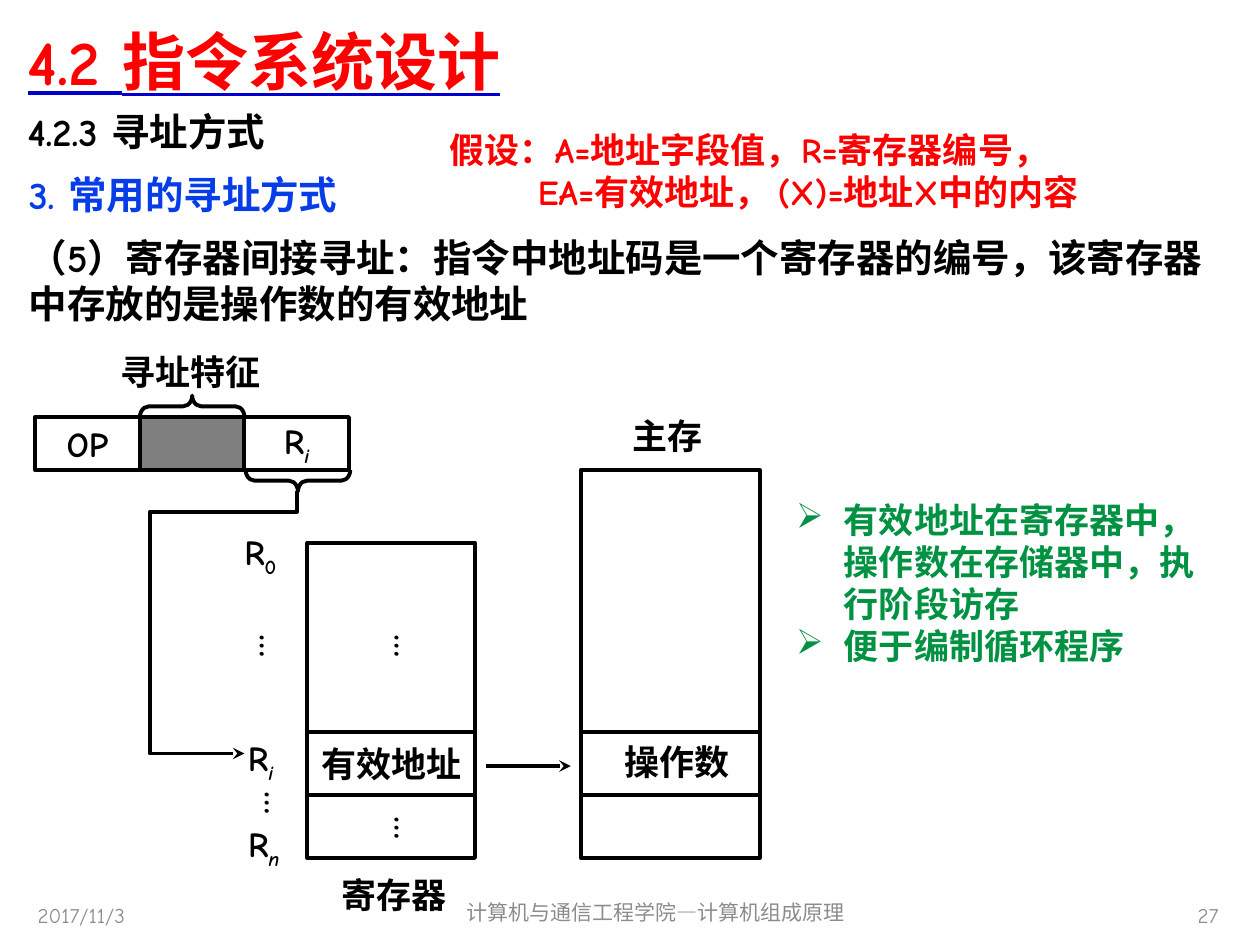
from lxml import etree
from pptx import Presentation
from pptx.dml.color import RGBColor
from pptx.enum.shapes import MSO_CONNECTOR, MSO_SHAPE
from pptx.enum.text import MSO_ANCHOR, MSO_AUTO_SIZE, PP_ALIGN
from pptx.oxml.ns import qn
from pptx.util import Inches, Pt

RECTANGLE, BRACE = MSO_SHAPE.RECTANGLE, MSO_SHAPE.LEFT_BRACE
STRAIGHT = MSO_CONNECTOR.STRAIGHT
TOP, MIDDLE = MSO_ANCHOR.TOP, MSO_ANCHOR.MIDDLE
LEFT, CENTER, RIGHT = PP_ALIGN.LEFT, PP_ALIGN.CENTER, PP_ALIGN.RIGHT
FIT, FIXED = MSO_AUTO_SIZE.SHAPE_TO_FIT_TEXT, MSO_AUTO_SIZE.NONE
FONT = "Comic Neue"
COLORS = {
    "black": "000000",
    "red": "FF0000",
    "underline": "0000CC",
    "blue": "063DE8",
    "green": "009242",
    "footer": "8C8C8C",
}


def color(name):
    """Return the named colour."""
    return RGBColor.from_string(COLORS[name])


class SlideBuilder:
    """Draws styled elements on the current slide."""

    def __init__(self, slide):
        """Keep the slide."""
        self.slide = slide

    def fill_text(self, frame, lines, size=20, ink="black", bold=True,
                  align=LEFT, anchor=TOP, wrap=True, sub="", indents=(), bullet=""):
        """Fill a text frame with styled paragraphs and an optional subscript."""
        frame.word_wrap = wrap
        frame.vertical_anchor = anchor
        frame.text = "\n".join(lines)
        for paragraph, indent in zip(frame.paragraphs, indents):
            properties = paragraph._p.get_or_add_pPr()
            properties.set("marL", str(Inches(indent)))
            if bullet:
                properties.set("indent", str(-Inches(indent)))
                etree.SubElement(properties, qn("a:buChar"), char=bullet)
        if sub:
            run = frame.paragraphs[0].add_run()
            run.text = sub
            run.font.italic = sub.isalpha()
            run.font._element.set("baseline", "-25000")
        for paragraph in frame.paragraphs:
            paragraph.alignment = align
            for run in paragraph.runs:
                run.font.name = FONT
                run.font.size = Pt(size)
                run.font.bold = bold
                run.font.color.rgb = color(ink)

    def text(self, box, *lines, fit=True, **style):
        """Add a text box."""
        shape = self.slide.shapes.add_textbox(*map(Inches, box))
        self.fill_text(shape.text_frame, lines, **style)
        shape.text_frame.auto_size = FIT if fit else FIXED
        return shape

    def title(self, box, words):
        """Add a title with a coloured underline."""
        shape = self.text(box, words, fit=False, size=36, ink="red", anchor=MIDDLE)
        font = shape.text_frame.paragraphs[0].runs[0].font
        font.underline = True
        underline = etree.Element(qn("a:uFill"))
        fill = etree.SubElement(underline, qn("a:solidFill"))
        etree.SubElement(fill, qn("a:srgbClr"), val=COLORS["underline"])
        font._element.find(qn("a:latin")).addprevious(underline)

    def dots(self, left, top):
        """Add a vertical ellipsis."""
        shape = self.text((left, top, 0.54, 0.29), "…", wrap=False)
        shape.text_frame._txBody.bodyPr.set("vert", "eaVert")

    def outline(self, shape, arrow=False):
        """Give a shape the diagram line and an optional arrowhead."""
        shape.line.color.rgb = color("black")
        shape.line.width = Pt(2.25)
        if arrow:
            etree.SubElement(shape.line._get_or_add_ln(), qn("a:tailEnd"), type="stealth")

    def box(self, box, words="", sub="", alpha=0):
        """Add a rectangular cell, shaded when alpha is given."""
        shape = self.slide.shapes.add_shape(RECTANGLE, *map(Inches, box))
        shape.shadow.inherit = False
        if alpha:
            shape.fill.solid()
            shape.fill.fore_color.rgb = color("black")
            tint = shape._element.spPr.find(".//" + qn("a:srgbClr"))
            etree.SubElement(tint, qn("a:alpha"), val=str(alpha * 1000))
        else:
            shape.fill.background()
        self.outline(shape)
        if words:
            self.fill_text(shape.text_frame, [words], sub=sub, align=CENTER,
                           anchor=MIDDLE, wrap=False)

    def brace(self, left, top, rotation):
        """Add a rotated brace."""
        shape = self.slide.shapes.add_shape(
            BRACE, Inches(left), Inches(top), Inches(0.17), Inches(0.83))
        shape.shadow.inherit = False
        shape.rotation = rotation
        shape.adjustments[0] = 0.42
        shape.fill.background()
        self.outline(shape)

    def line(self, left, right, y, arrow=False):
        """Add a horizontal line."""
        connector = self.slide.shapes.add_connector(
            STRAIGHT, Inches(left), Inches(y), Inches(right), Inches(y))
        self.outline(connector, arrow)
        etree.SubElement(connector._element.spPr, qn("a:effectLst"))

    def route(self, points):
        """Add a bent arrow through the points."""
        start, *rest = [(Inches(x), Inches(y)) for x, y in points]
        builder = self.slide.shapes.build_freeform(*start)
        builder.add_line_segments(rest, close=False)
        shape = builder.convert_to_shape()
        shape.shadow.inherit = False
        shape.fill.background()
        self.outline(shape, arrow=True)


def main():
    """Build and save the slide."""
    presentation = Presentation()
    presentation.slide_width, presentation.slide_height = Inches(10), Inches(7.5)
    page = SlideBuilder(presentation.slides.add_slide(presentation.slide_layouts[6]))

    page.title((0.12, 0.05, 9.69, 0.85), "4.2 指令系统设计")
    page.text((0.12, 0.81, 9.69, 0.57), "4.2.3 寻址方式", fit=False, size=22)
    page.text((0.13, 1.31, 9.69, 0.55), "3. 常用的寻址方式", fit=False, size=22, ink="blue")
    page.text((0.13, 1.81, 9.53, 0.84),
              "（5）寄存器间接寻址：指令中地址码是一个寄存器的编号，该寄存器中存放的是操作数的有效地址",
              size=22)
    assumption = page.text((3.5, 0.99, 6.16, 0.73), "假设：A=地址字段值，R=寄存器编号，",
                           "EA=有效地址， (X)=地址X中的内容", ink="red", indents=(0, 0.7))
    frame = assumption.text_frame
    frame.margin_left = frame.margin_right = Inches(0.07)
    frame.margin_top = frame.margin_bottom = Inches(0.03)
    page.text((6.22, 3.91, 3.44, 1.45), "有效地址在寄存器中， 操作数在存储器中，执行阶段访存",
              "便于编制循环程序", ink="green", indents=(0.38, 0.38), bullet="➢")

    for box, words, align in (
        ((0.2, 7.06, 2.33, 0.4), "2017/11/3", LEFT),
        ((3.35, 7.04, 3.71, 0.4), "计算机与通信工程学院—计算机组成原理", CENTER),
        ((7.44, 7.06, 2.33, 0.4), "27", RIGHT),
    ):
        page.text(box, words, fit=False, size=12, ink="footer", bold=False,
                  align=align, anchor=MIDDLE)

    for column, (words, sub, alpha) in enumerate((("OP", "", 0), ("", "", 50), ("R", "i", 0))):
        page.box((0.28 + column * 0.83, 3.31, 0.83, 0.42), words, sub, alpha)
    page.brace(1.44, 2.81, 90)
    page.brace(2.28, 3.4, 270)
    page.text((0.86, 2.73, 1.32, 0.43), "寻址特征", wrap=False)
    page.route(((2.36, 3.9), (2.36, 4.06), (1.19, 4.06), (1.19, 5.98), (1.94, 5.98)))

    for top, height, words in ((4.31, 1.5, ""), (5.81, 0.5, "有效地址"), (6.31, 0.5, "")):
        page.box((2.44, top, 1.33, height), words)
    for left, top in ((2.92, 4.94), (2.92, 6.38), (1.85, 4.94), (1.89, 6.18)):
        page.dots(left, top)
    for left, top, width, sub in ((1.84, 4.16, 0.51, "0"), (1.87, 5.8, 0.43, "i"),
                                  (1.87, 6.48, 0.48, "n")):
        page.text((left, top, width, 0.44), "R", sub=sub, wrap=False)
    page.text((2.61, 6.88, 1.42, 0.43), "寄存器")

    page.line(3.86, 4.53, 6.08, arrow=True)
    page.box((4.61, 3.73, 1.42, 3.08))
    for y in (5.81, 6.31):
        page.line(4.61, 6.03, y)
    page.text((4.86, 5.83, 1.04, 0.43), "操作数", wrap=False)
    page.text((4.92, 3.24, 0.76, 0.43), "主存", wrap=False)

    presentation.save("out.pptx")


if __name__ == "__main__":
    main()
